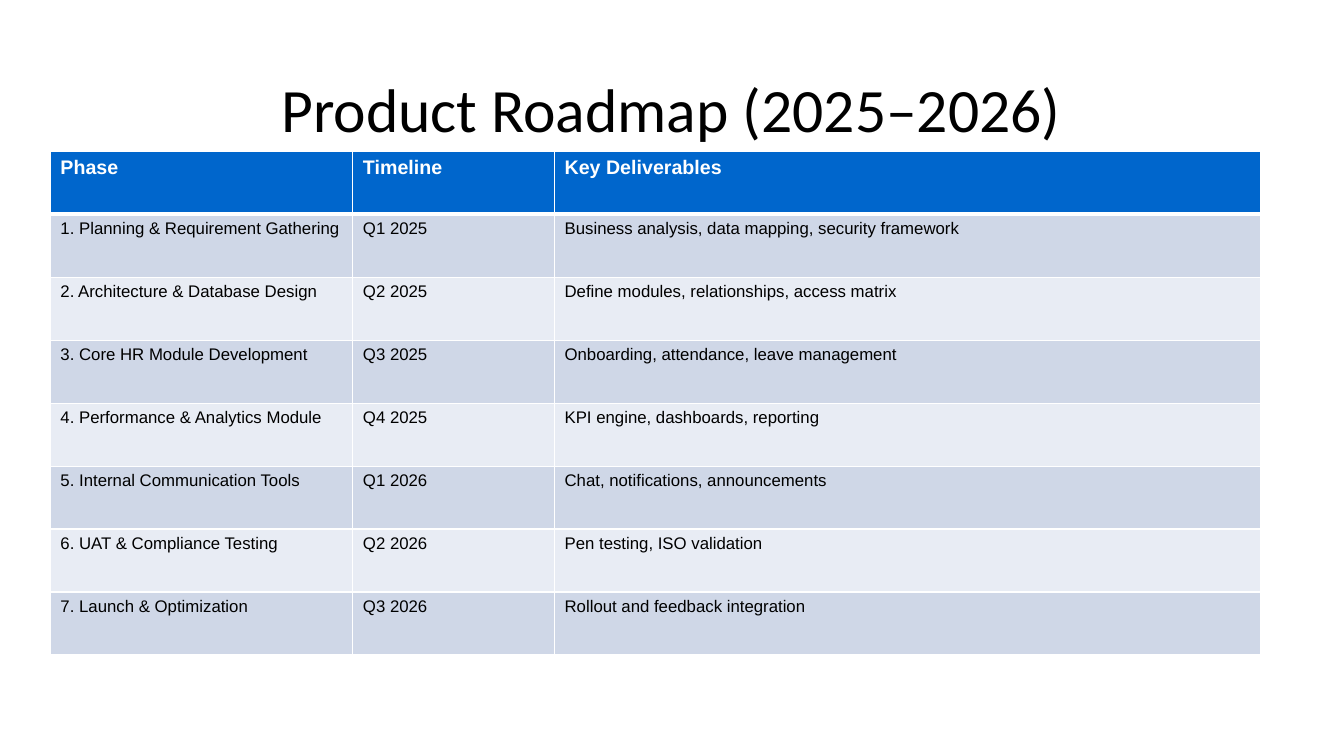
from lxml import etree
from pptx import Presentation
from pptx import util as u
from pptx.dml.color import RGBColor
from pptx.enum import text
from pptx.oxml.ns import qn

COLORS = {"header": "0066CC", "odd": "CFD7E7", "even": "E8ECF4",
          "light": "FFFFFF", "dark": "000000"}
FORMATS = {
    "title": {"name": "Calibri", "size": u.Pt(44), "bold": False},
    "header": {"name": "Arial", "size": u.Pt(14), "bold": True},
    "body": {"name": "Arial", "size": u.Pt(12), "bold": False},
}
COL, ROW = 1.0, 0.625  # grid unit in inches
COLUMN_SPANS = [3, 2, 7]

ROADMAP = [
    ("Phase", "Timeline", "Key Deliverables"),
    ("1. Planning & Requirement Gathering", "Q1 2025",
     "Business analysis, data mapping, security framework"),
    ("2. Architecture & Database Design", "Q2 2025",
     "Define modules, relationships, access matrix"),
    ("3. Core HR Module Development", "Q3 2025",
     "Onboarding, attendance, leave management"),
    ("4. Performance & Analytics Module", "Q4 2025",
     "KPI engine, dashboards, reporting"),
    ("5. Internal Communication Tools", "Q1 2026",
     "Chat, notifications, announcements"),
    ("6. UAT & Compliance Testing", "Q2 2026", "Pen testing, ISO validation"),
    ("7. Launch & Optimization", "Q3 2026", "Rollout and feedback integration"),
]


class SlideBuilder:
    """Holds the style and the current slide; lengths are grid columns and rows."""

    def __init__(self, s):
        self.s = s

    def box(self, left, top, width, height):
        return [u.Inches(n * unit) for n, unit in
                zip((left, top, width, height), (COL, ROW, COL, ROW))]

    def add_words(self, tf, words, style, color):
        r = tf.paragraphs[0].add_run()
        r.text = words
        for key, value in FORMATS[style].items():
            setattr(r.font, key, value)
        r.font.color.rgb = RGBColor.from_string(COLORS[color])

    def title(self, words, *place):
        tf = self.s.shapes.add_textbox(*self.box(*place)).text_frame
        tf.word_wrap = True
        tf.vertical_anchor = text.MSO_ANCHOR.MIDDLE
        tf.paragraphs[0].alignment = text.PP_ALIGN.CENTER
        self.add_words(tf, words, "title", "dark")

    def borders(self, cell, widths):
        tcPr = cell._tc.get_or_add_tcPr()
        for side, width in widths.items():
            ln = etree.SubElement(tcPr, qn(f"a:ln{side}"), w=str(u.Pt(width)))
            fill = etree.SubElement(ln, qn("a:solidFill"))
            etree.SubElement(fill, qn("a:srgbClr"), val=COLORS["light"])

    def table(self, rows, spans, left, top):
        place = self.box(left, top, sum(spans), len(rows))
        table = self.s.shapes.add_table(len(rows), len(spans), *place).table
        for column, span in zip(table.columns, spans):
            column.width = u.Inches(span * COL)
        for i, row in enumerate(rows):
            table.rows[i].height = u.Inches(ROW)
            band = "header" if i == 0 else "odd" if i % 2 else "even"
            style, color = ("body", "dark") if i else ("header", "light")
            # Heavy rule between the header and the phases
            widths = {"L": 1, "R": 1, "T": 3 if i == 1 else 1, "B": 1 if i else 3}
            for j, words in enumerate(row):
                cell = table.cell(i, j)
                self.borders(cell, widths)
                cell.fill.solid()
                cell.fill.fore_color.rgb = RGBColor.from_string(COLORS[band])
                self.add_words(cell.text_frame, words, style, color)


def main():
    prs = Presentation()
    prs.slide_width, prs.slide_height = u.Inches(13.33), u.Inches(7.5)
    roadmap = SlideBuilder(prs.slides.add_slide(prs.slide_layouts[6]))

    # Title
    roadmap.title("Product Roadmap (2025–2026)", 0.45, 1.04, 12.42, 1.33)

    # Phases, timeline and deliverables
    roadmap.table(ROADMAP, COLUMN_SPANS, 0.5, 2.4)

    prs.save("out.pptx")


if __name__ == "__main__":
    main()
